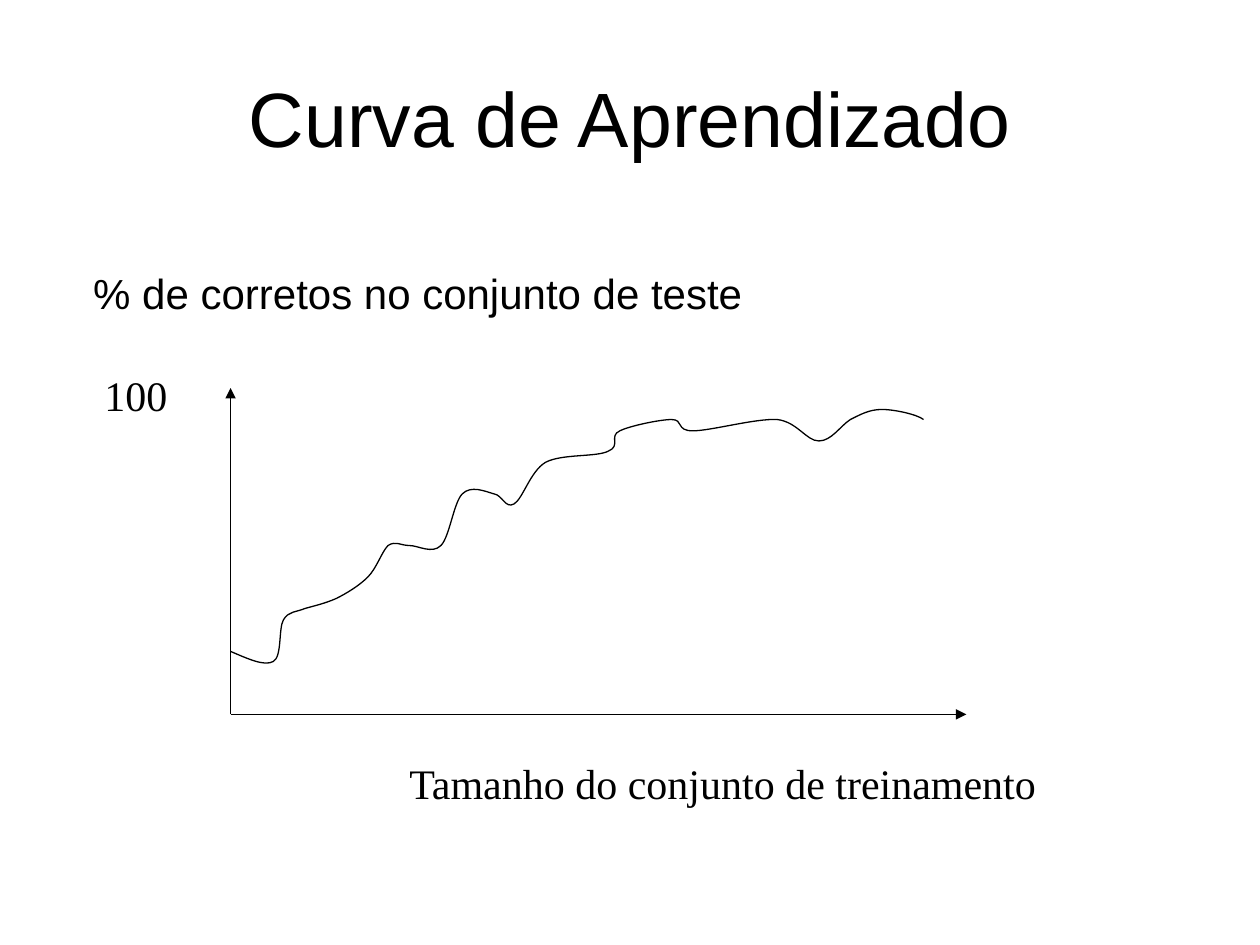
from lxml.etree import SubElement
from pptx import Presentation
from pptx.dml.color import RGBColor
from pptx.enum.shapes import MSO_CONNECTOR
from pptx.enum.text import MSO_ANCHOR, MSO_AUTO_SIZE, PP_ALIGN
from pptx.oxml.ns import qn
from pptx.util import Inches, Pt

BLACK = RGBColor(0, 0, 0)
SANS, SERIF = "Arial", "Times New Roman"
THIN = Pt(0.75)

# text, (left, top, width, height), format
TEXTS = [
    ("Curva de Aprendizado", (0.5, 0.3, 9, 1.25),
     dict(size=44, align=PP_ALIGN.CENTER, anchor=MSO_ANCHOR.MIDDLE)),
    ("% de corretos no conjunto de teste", (0.74, 2.12, 8.54, 4.72),
     dict(hang=0.38)),
    ("100", (0.73, 2.88, 0.7, 0.5), dict(font=SERIF, label=True)),
    ("Tamanho do conjunto de treinamento", (3.15, 5.96, 5.2, 0.5),
     dict(font=SERIF, label=True)),
]

ORIGIN = (1.83, 5.67)
AXIS_ENDS = [(7.67, 5.67), (1.83, 3.08)]

START = (1.83, 5.17)
# each row: two control points, then the point reached
CURVE = [
    ((1.97, 5.23), (2.1, 5.29), (2.17, 5.25)),
    ((2.24, 5.21), (2.21, 4.99), (2.25, 4.92)),
    ((2.29, 4.85), (2.35, 4.86), (2.42, 4.83)),
    ((2.49, 4.81), (2.58, 4.79), (2.67, 4.75)),
    ((2.75, 4.71), (2.85, 4.65), (2.92, 4.58)),
    ((2.99, 4.51), (3.03, 4.38), (3.08, 4.33)),
    ((3.14, 4.29), (3.18, 4.33), (3.25, 4.33)),
    ((3.32, 4.33), (3.43, 4.4), (3.5, 4.33)),
    ((3.57, 4.26), (3.6, 3.99), (3.67, 3.92)),
    ((3.74, 3.85), (3.85, 3.9), (3.92, 3.92)),
    ((3.99, 3.93), (4.01, 4.04), (4.08, 4)),
    ((4.15, 3.96), (4.21, 3.74), (4.33, 3.67)),
    ((4.46, 3.6), (4.74, 3.63), (4.83, 3.58)),
    ((4.93, 3.54), (4.83, 3.46), (4.92, 3.42)),
    ((5, 3.38), (5.24, 3.33), (5.33, 3.33)),
    ((5.43, 3.33), (5.36, 3.42), (5.5, 3.42)),
    ((5.64, 3.42), (6, 3.32), (6.17, 3.33)),
    ((6.33, 3.35), (6.4, 3.5), (6.5, 3.5)),
    ((6.6, 3.5), (6.67, 3.38), (6.75, 3.33)),
    ((6.83, 3.29), (6.9, 3.25), (7, 3.25)),
    ((7.1, 3.25), (7.28, 3.29), (7.33, 3.33)),
]


def add_text(slide, text, box, size=24, font=SANS, align=PP_ALIGN.LEFT,
             anchor=MSO_ANCHOR.TOP, hang=0, label=False):
    """Add one line of text; a label has margins and fits its text."""
    frame = slide.shapes.add_textbox(*map(Inches, box)).text_frame
    frame.word_wrap = not label
    frame.vertical_anchor = anchor
    if label:
        frame.auto_size = MSO_AUTO_SIZE.SHAPE_TO_FIT_TEXT
    else:
        frame.margin_left = frame.margin_right = 0
        frame.margin_top = frame.margin_bottom = 0
    para = frame.paragraphs[0]
    para.alignment = align
    if hang:
        props = para._p.get_or_add_pPr()
        props.set("marL", str(Inches(hang)))
        props.set("indent", str(-Inches(hang)))
    run = para.add_run()
    run.text = text
    run.font.size, run.font.name = Pt(size), font
    run.font.color.rgb = BLACK


def add_axis(slide, start, end):
    axis = slide.shapes.add_connector(
        MSO_CONNECTOR.STRAIGHT, *map(Inches, start + end))
    axis.line.color.rgb, axis.line.width = BLACK, THIN
    props = axis._element.spPr
    SubElement(props.find(qn("a:ln")), qn("a:tailEnd"), type="triangle")
    SubElement(props, qn("a:effectLst"))


def add_curve(slide, start, parts):
    """Draw all points as lines, then join each three into a Bezier part."""
    pen = slide.shapes.build_freeform(*map(Inches, start))
    spots = [(Inches(x), Inches(y)) for part in parts for x, y in part]
    pen.add_line_segments(spots, close=False)
    curve = pen.convert_to_shape()
    curve.shadow.inherit = False
    curve.fill.background()
    curve.line.color.rgb, curve.line.width = BLACK, THIN
    track = next(curve._element.iter(qn("a:path")))
    lines = track.findall(qn("a:lnTo"))
    for i in range(0, len(lines), 3):
        bend = SubElement(track, qn("a:cubicBezTo"))
        for line in lines[i:i + 3]:
            bend.append(line[0])
            track.remove(line)


def main():
    deck = Presentation()
    deck.slide_width, deck.slide_height = Inches(10), Inches(7.5)
    slide = deck.slides.add_slide(deck.slide_layouts[6])
    for text, box, style in TEXTS:
        add_text(slide, text, box, **style)
    for end in AXIS_ENDS:
        add_axis(slide, ORIGIN, end)
    add_curve(slide, START, CURVE)
    deck.save("out.pptx")


if __name__ == "__main__":
    main()
